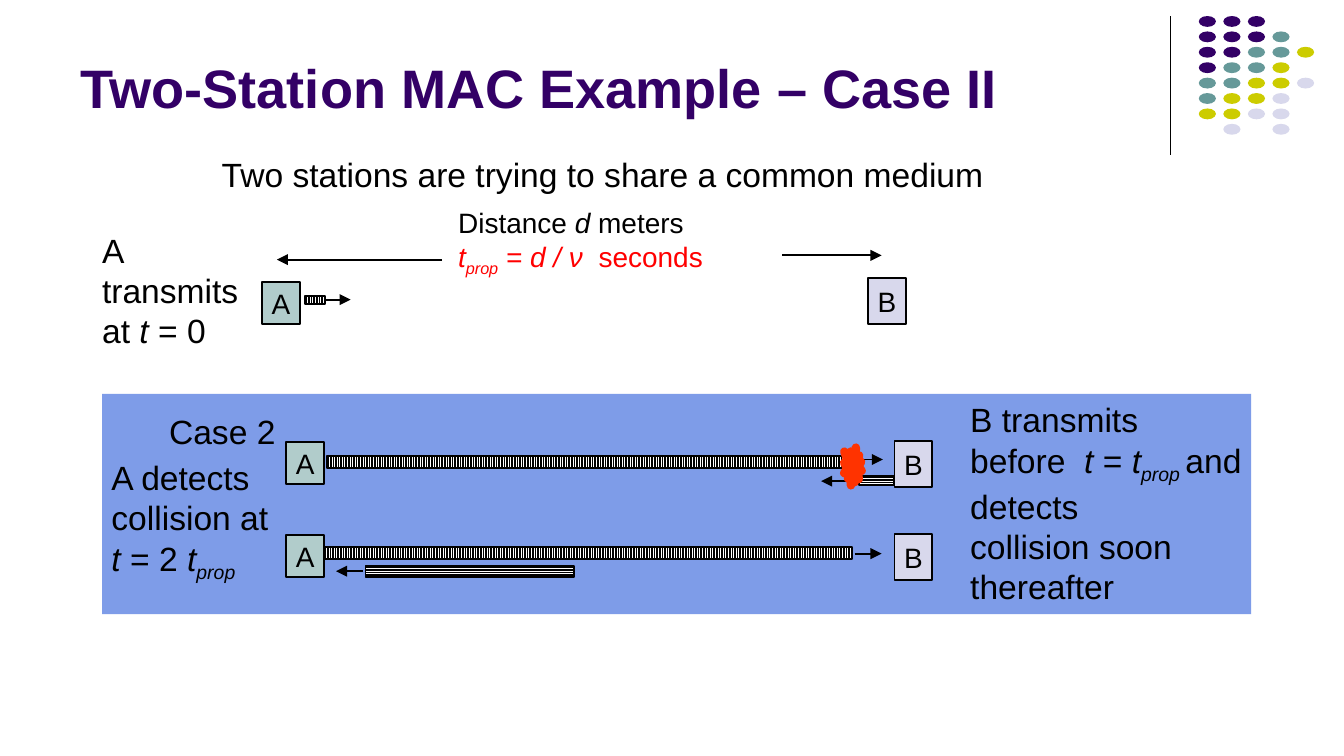
from lxml import etree
from pptx import Presentation
from pptx.dml.color import RGBColor
from pptx.enum import dml, shapes, text
from pptx.oxml.ns import qn
from pptx.util import Pt

HUES = {
    "ink": "000000", "white": "FFFFFF", "panel": "7E9CE8",
    "sea": "B1CCCB", "red": "FF0000", "burst": "FF3300",
    "P": "330066", "T": "669999", "Y": "CCCC00", "L": "D8D8EC",
}
DOTS = ["PPP", "PPPT", "PPTTY", "PTTY", "TTYYL", "TYYL", "YYLL", ".L.L"]
TIGHT = (5, 2.9)
VERT = dml.MSO_PATTERN.LIGHT_VERTICAL
HORZ = dml.MSO_PATTERN.LIGHT_HORIZONTAL


def hue(name):
    return RGBColor.from_string(HUES[name])


def write(frame, paras, size=18, color="ink", bold=False, inset=TIGHT,
          wrap=True, anchor="TOP", align="LEFT", tints=()):
    """Each paragraph lists (words, marks); marks: i italic, s subscript."""
    frame.word_wrap = wrap
    frame.vertical_anchor = getattr(text.MSO_ANCHOR, anchor)
    frame.margin_left = frame.margin_right = Pt(inset[0])
    frame.margin_top = frame.margin_bottom = Pt(inset[1])
    for n, runs in enumerate(paras):
        para = frame.paragraphs[0] if n == 0 else frame.add_paragraph()
        para.alignment = getattr(text.PP_ALIGN, align)
        for words, marks in runs:
            for k, part in enumerate(words.split("\n")):
                if k:
                    para.add_line_break()
                run = para.add_run()
                run.text = part
                font = run.font
                font.name, font.size, font.bold = "Arial", Pt(size), bold
                font.italic = "i" in marks
                font.color.rgb = hue(tints[n] if tints else color)
                if "s" in marks:
                    font._element.set("baseline", "-25000")


def label(slide, x, y, w, h, paras, **style):
    box = slide.shapes.add_textbox(Pt(x), Pt(y), Pt(w), Pt(h))
    write(box.text_frame, paras, **style)


def block(slide, x, y, w, h, fill, kind="RECTANGLE", edge=None, weight=1):
    part = slide.shapes.add_shape(getattr(shapes.MSO_SHAPE, kind),
                                  Pt(x), Pt(y), Pt(w), Pt(h))
    part.shadow.inherit = False
    part.fill.solid()
    part.fill.fore_color.rgb = hue(fill)
    if edge:
        part.line.color.rgb = hue(edge)
        part.line.width = Pt(weight)
    else:
        part.line.fill.background()
    return part


def packet(slide, x, y, w, h, weave):
    part = block(slide, x, y, w, h, "white", edge="ink")
    part.fill.patterned()
    part.fill.pattern = weave
    part.fill.fore_color.rgb = hue("white")
    part.fill.back_color.rgb = hue("ink")
    return part


def line(slide, x1, y1, x2, y2, weight=1, tip=True):
    link = slide.shapes.add_connector(shapes.MSO_CONNECTOR.STRAIGHT,
                                      Pt(x1), Pt(y1), Pt(x2), Pt(y2))
    link.line.color.rgb = hue("ink")
    link.line.width = Pt(weight)
    if tip:
        etree.SubElement(link.line._get_or_add_ln(), qn("a:tailEnd"),
                         type="triangle")
    etree.SubElement(link._element.spPr, qn("a:effectLst"))
    return link


def station(slide, x, y, name):
    h, fill = (22.3, "sea") if name == "A" else (24.5, "L")
    part = block(slide, x, y, 20.2, h, fill, edge="ink")
    write(part.text_frame, [[(name, "")]], size=15, inset=(0, 0),
          wrap=False, anchor="MIDDLE", align="CENTER")


def corner(slide, x, y):
    # Rule and dot grid
    line(slide, x, y, x, y + 74.2, weight=0.75, tip=False)
    for row, codes in enumerate(DOTS):
        for col, code in enumerate(codes):
            if code != ".":
                block(slide, x + 15.1 + col * 13.15, y + row * 8.25,
                      9.2, 5.8, code, kind="OVAL")


def setup(slide, x, y):
    # Heading, start condition and distance
    label(slide, x + 62, y, 426, 28.8,
          [[("Two stations are trying to share a common medium", "")]],
          inset=(7.2, 3.6), wrap=False)
    label(slide, x, y + 41, 87.1, 70.6,
          [[("A transmits at ", ""), ("t ", "i"), ("= 0", "")]])
    label(slide, x + 190.8, y + 28, 177.8, 41.8,
          [[("Distance ", ""), ("d", "i"), (" meters", "")],
           [("t", "i"), ("prop", "is"), (" = d / ν ", "i"),
            (" seconds", "")]], size=15, tints=("ink", "red"))
    line(slide, x + 187.2, y + 59.9, x + 98.6, y + 59.9)
    line(slide, x + 369.3, y + 57.6, x + 422.6, y + 57.6)
    # Stations and first packet
    station(slide, x + 90.7, y + 72, "A")
    station(slide, x + 415.4, y + 69.8, "B")
    first = packet(slide, x + 113.7, y + 79.2, 10.8, 4.3, VERT)
    link = line(slide, x + 124.5, y + 81.35, x + 138.2, y + 81.35)
    link.begin_connect(first, 3)


def stage(slide, x, y, sent, back, ahead, reply):
    """Both stations; sent and back are packets, ahead and reply arrows."""
    for (dx, dy, w, h), weave in ((sent, VERT), (back, HORZ)):
        packet(slide, x + dx, y + dy, w, h, weave)
    for start, end, dy in (ahead, reply):
        line(slide, x + start, y + dy, x + end, y + dy)
    station(slide, x, y, "A")
    station(slide, x + 325.8, y - 0.4, "B")


def case(slide, x, y, w, h):
    block(slide, x, y, w, h, "panel")
    # Side notes
    label(slide, x + 28.8, y + 5.7, 72, 28.8, [[("Case 2", "")]],
          inset=(7.2, 3.6), wrap=False)
    label(slide, x, y + 30.9, 121, 92.2,
          [[("A detects", "")], [("collision at", "")],
           [("t ", "i"), ("= 2 ", ""), ("t", "i"), ("prop", "is")]])
    label(slide, x + 460.1, y, 155.5, 114.5,
          [[("B transmits before  ", ""), ("t", "i"), (" = ", ""),
            ("t", "i"), ("prop ", "is"),
            ("and detects\ncollision soon", "")],
           [("thereafter", "")]])
    # Collision near B, then its return to A
    left = x + 98.7
    stage(slide, left, y + 25.9, (21.6, 7.2, 285.8, 6.5),
          (306.7, 18, 18.7, 5), (306, 319.6, 9.3), (300.9, 286.5, 20.9))
    stage(slide, left, y + 75.6, (20.1, 6.4, 283, 6.5),
          (42.4, 16.5, 111.6, 5.8), (304.5, 318.9, 10), (41, 26.6, 19.4))
    block(slide, x + 397.5, y + 28.8, 9.4, 20.2, "burst",
          kind="EXPLOSION1", edge="burst", weight=4.5)


def main():
    deck = Presentation()
    deck.slide_width, deck.slide_height = Pt(720), Pt(405)
    slide = deck.slides.add_slide(deck.slide_layouts[6])
    corner(slide, 627.1, 8.6)
    label(slide, 36, 7.2, 594, 60.5,
          [[("Two-Station MAC Example – Case II", "")]],
          size=29, color="P", bold=True, inset=(7.2, 3.6), anchor="BOTTOM")
    setup(slide, 49.7, 79.2)
    case(slide, 54.7, 211, 615.6, 118.1)
    deck.save("out.pptx")


if __name__ == "__main__":
    main()
